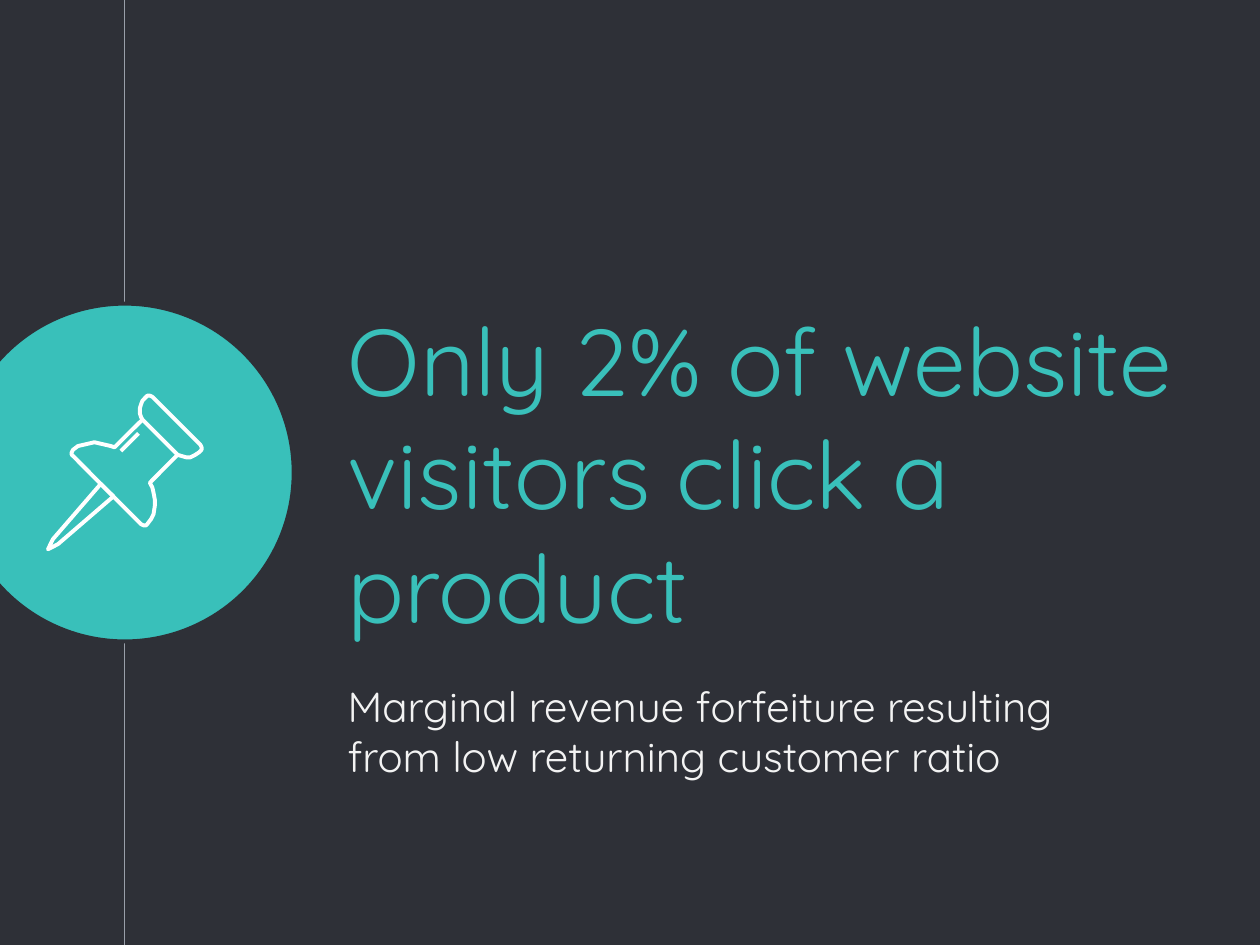
import pptx
import pptx.dml.color
import pptx.enum.shapes
import pptx.enum.text
import pptx.oxml
import pptx.util
from pptx.util import Pt

theme = {
    "background": "2E3037",
    "accent": "39C0BA",
    "guide": "999FA9",
    "icon": "FFFFFF",
    "body": "F3F3F3",
    "font": "Quicksand",
    "title_size": 54,
    "body_size": 24,
}


def color(name):
    return pptx.dml.color.RGBColor.from_string(theme[name])


def write_text(shape, text, size, fill, anchor):
    frame = shape.text_frame
    frame.word_wrap = True
    frame.auto_size = pptx.enum.text.MSO_AUTO_SIZE.NONE
    frame.vertical_anchor = anchor
    frame.margin_left = frame.margin_right = Pt(7.2)
    frame.margin_top = frame.margin_bottom = Pt(7.2)
    paragraph = frame.paragraphs[0]
    paragraph.alignment = pptx.enum.text.PP_ALIGN.LEFT
    run = paragraph.add_run()
    run.text = text
    run.font.name = theme["font"]
    run.font.size = Pt(theme[size])
    run.font.color.rgb = color(fill)


presentation = pptx.Presentation()
presentation.slide_width = Pt(720)
presentation.slide_height = Pt(540)
slide = presentation.slides.add_slide(presentation.slide_layouts[5])
slide.background.fill.solid()
slide.background.fill.fore_color.rgb = color("background")

# Vertical guide line, behind the circle
guide = slide.shapes.add_connector(
    pptx.enum.shapes.MSO_CONNECTOR.STRAIGHT, Pt(71.3), Pt(0), Pt(71.3), Pt(540))
guide.line.color.rgb = color("guide")
guide.line.width = Pt(0.75)
guide._element.spPr.append(pptx.oxml.parse_xml(
    '<a:effectLst xmlns:a="http://schemas.openxmlformats.org/drawingml/2006/main"/>'))

# Circle, its outline separating it from the guide
circle = slide.shapes.add_shape(
    pptx.enum.shapes.MSO_SHAPE.OVAL, Pt(-25.2), Pt(173.5), Pt(193), Pt(193))
circle.shadow.inherit = False
circle.fill.solid()
circle.fill.fore_color.rgb = color("accent")
circle.line.color.rgb = color("background")
circle.line.width = Pt(2.25)

# Title and subtitle
title = slide.shapes.title
title.left, title.top, title.width, title.height = Pt(191.5), Pt(208.8), Pt(514.8), Pt(121.7)
write_text(title, "Only 2% of website visitors click a product",
           size="title_size", fill="accent", anchor=pptx.enum.text.MSO_ANCHOR.MIDDLE)
subtitle = slide.shapes.add_textbox(Pt(191.5), Pt(381.6), Pt(474.5), Pt(82))
write_text(subtitle, "Marginal revenue forfeiture resulting from low returning customer ratio",
           size="body_size", fill="body", anchor=pptx.enum.text.MSO_ANCHOR.TOP)

# Pushpin icon: points of each outline, and whether it closes
needle = [(57.6, 276.5), (30.2, 308.2), (27.4, 313.9), (33.1, 311), (64.8, 283.7)]
head = [
    (81.4, 239.8), (101.5, 259.9), (103.7, 260.6), (106.6, 261.4), (108.7, 261.4),
    (111.6, 259.9), (113.8, 258.5), (115.2, 257), (115.2, 255.6), (114.5, 254.2),
    (87.1, 226.8), (85.7, 226.1), (84.2, 226.1), (82.8, 227.5), (81.4, 229),
    (80.6, 231.1), (79.9, 233.3), (79.9, 236.2), (80.6, 238.3),
]
body = [
    (81.4, 239.8), (65.5, 255.6), (63.4, 254.9), (60.5, 254.2), (56.9, 253.4),
    (54, 252.7), (51.1, 253.4), (47.5, 254.2), (44.6, 254.9), (41.8, 257),
    (41, 258.5), (41, 259.9), (41.8, 260.6), (80.6, 299.5), (82.1, 300.2),
    (83.5, 300.2), (84.2, 299.5), (86.4, 296.6), (87.8, 293.8), (88.6, 288.7),
    (88.6, 285.8), (87.8, 281.5), (87.1, 278.6), (85.7, 275.8), (101.5, 259.9),
]
glint = [(69.1, 257.8), (79.2, 247.7)]

icon = slide.shapes.add_group_shape()
for outline, closed in [(needle, True), (head, True), (body, False), (glint, False)]:
    points = [(Pt(x), Pt(y)) for x, y in outline]
    builder = icon.shapes.build_freeform(*points[0])
    builder.add_line_segments(points[1:], close=closed)
    shape = builder.convert_to_shape()
    shape.shadow.inherit = False
    shape.fill.background()
    shape.line.color.rgb = color("icon")
    shape.line.width = Pt(2.25)

presentation.save("out.pptx")
